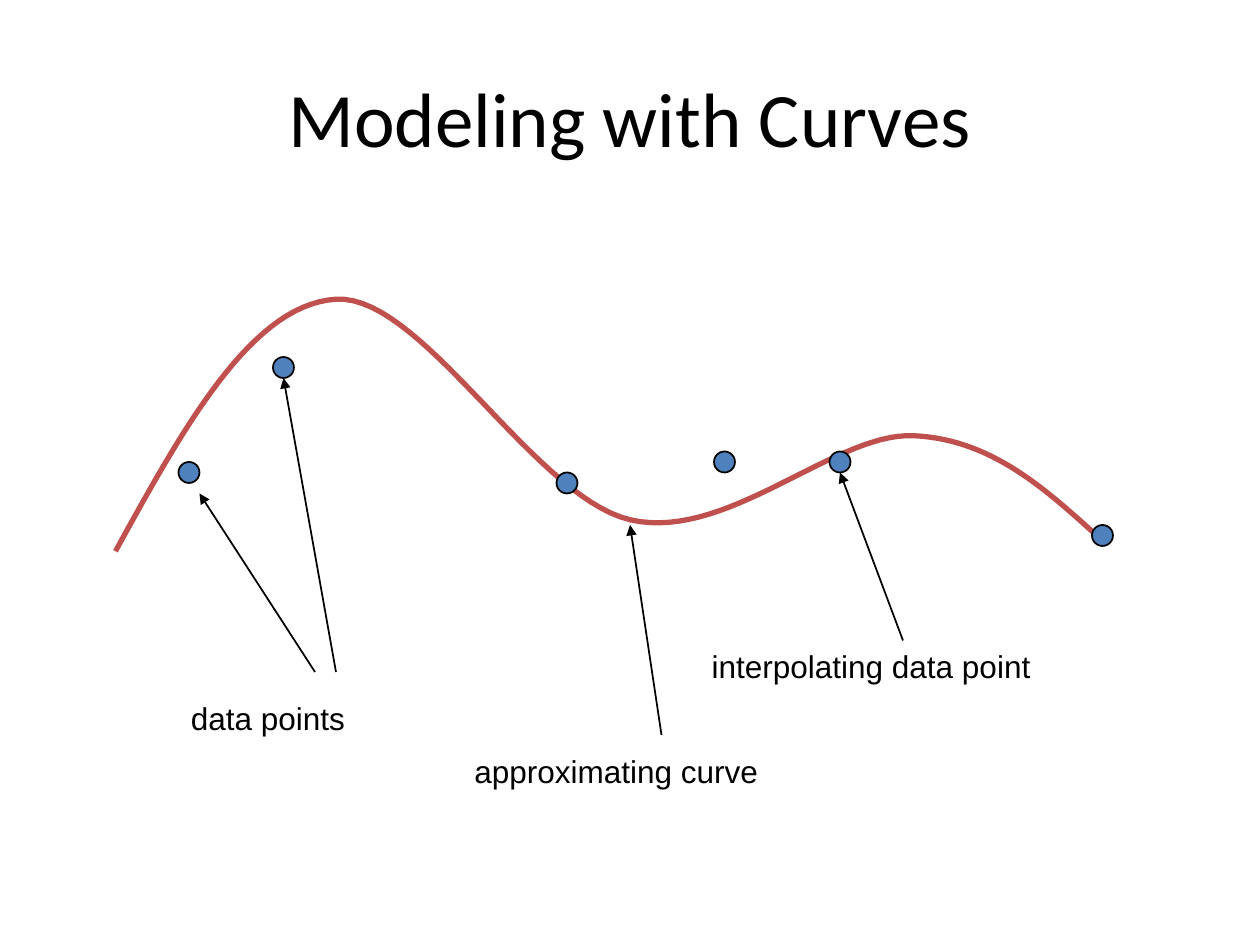
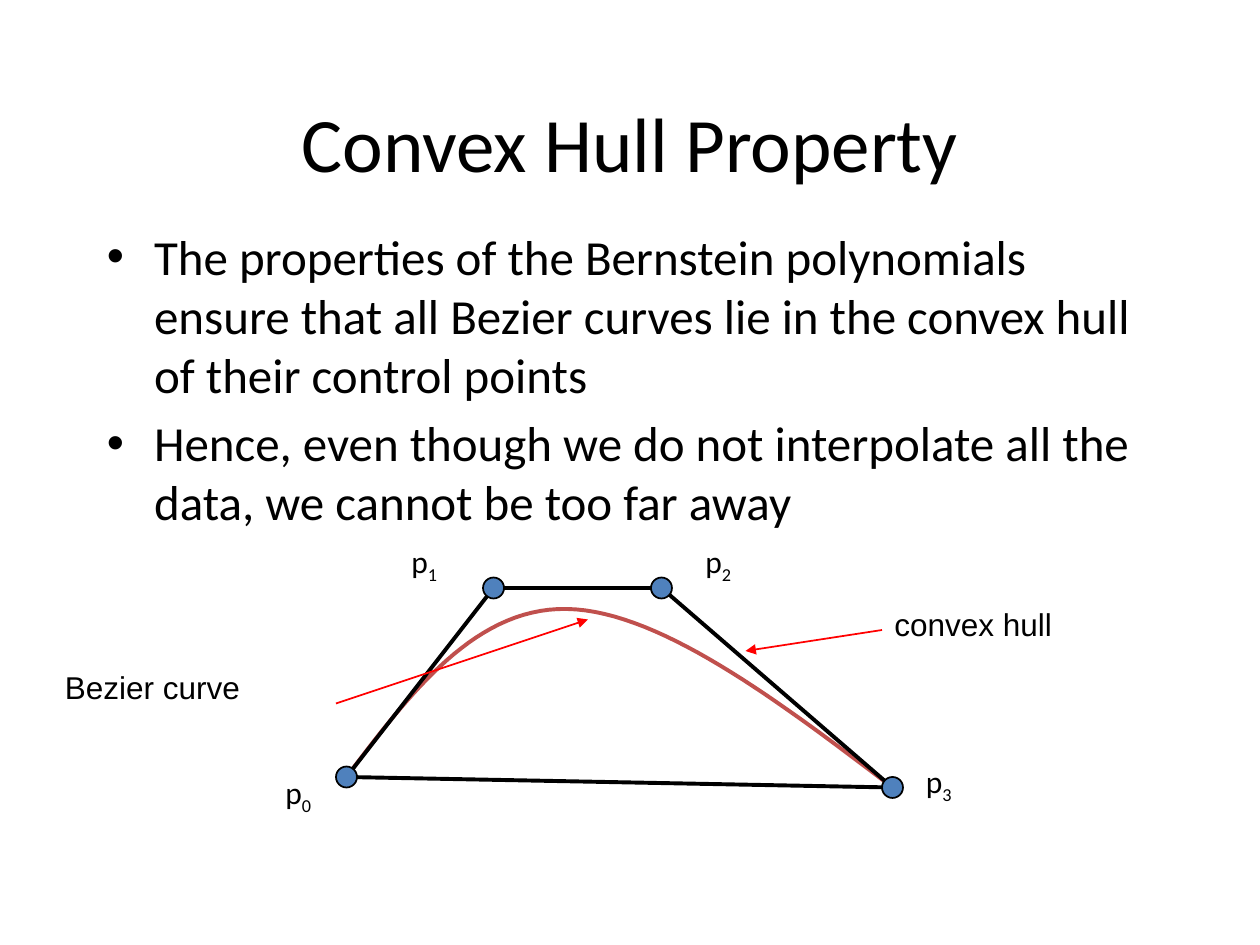
from itertools import combinations

from lxml.etree import SubElement
from pptx import Presentation
from pptx.dml.color import RGBColor
from pptx.enum.shapes import MSO_CONNECTOR as Connector, MSO_SHAPE as Shape
from pptx.enum.text import MSO_ANCHOR as Anchor, PP_ALIGN as Align
from pptx.oxml.ns import qn
from pptx.util import Pt

BLACK = RGBColor(0x00, 0x00, 0x00)
BLUE = RGBColor(0x4F, 0x81, 0xBD)
BRICK = RGBColor(0xC0, 0x50, 0x4D)
RED = RGBColor(0xFF, 0x00, 0x00)

DOT = 12
CURVE_STEPS = 30
LABEL_HEIGHT = 36
TITLE = {"name": "Calibri", "size": Pt(44)}
BODY = {"name": "Calibri", "size": Pt(28)}
LABEL = {"name": "Arial", "size": Pt(18)}
POINT_LABEL = {"name": "Calibri", "size": Pt(18)}


def write(page, place, paragraphs, style, align=Align.LEFT, anchor=Anchor.TOP):
    frame = page.shapes.add_textbox(*map(Pt, place)).text_frame
    frame.word_wrap = True
    frame.vertical_anchor = anchor
    for index, text in enumerate(paragraphs):
        para = frame.paragraphs[0] if index == 0 else frame.add_paragraph()
        para.alignment = align
        span = para.add_run()
        span.text = text
        for name, value in style.items():
            setattr(span.font, name, value)
        span.font.color.rgb = BLACK
    return frame.paragraphs


def connect(page, start, end, color, width, arrow=False):
    line = page.shapes.add_connector(Connector.STRAIGHT, *map(Pt, start + end))
    line.line.color.rgb = color
    line.line.width = Pt(width)
    if arrow:
        SubElement(line.line._get_or_add_ln(), qn("a:tailEnd"), type="triangle")
    SubElement(line._element.spPr, qn("a:effectLst"))


slides = [
    {
        "title": "Modeling with Curves",
        "title_place": (36, 21.6, 648, 90),
        "bullets": [],
        "curve": [(66, 315), (104.5, 245), (143.5, 174), (192, 171),
                  (241, 168), (305, 284), (360, 297),
                  (415, 310), (477, 247), (522, 249),
                  (567, 251), (598, 280), (630, 309)],
        "curve_width": 3,
        "dots": [(108, 270), (162, 210), (324, 276), (414, 264), (630, 306), (480, 264)],
        "hull": False,
        "point_labels": [],
        "labels": [("data points", 102, 396, 132),
                   ("approximating curve", 264, 426, 230),
                   ("interpolating data point", 399.6, 366, 257)],
        "arrow_color": BLACK,
        "arrows": [((180, 384), (114, 282)), ((192, 384), (162, 216)),
                   ((378, 420), (360, 300)), ((516, 366), (480, 270))],
    },
    {
        "title": "Convex Hull Property",
        "title_place": (54, 48, 612, 66),
        "bullets": [
            "The properties of the Bernstein polynomials ensure that all Bezier curves "
            "lie in the convex hull of their control points",
            "Hence, even though we do not interpolate all the data, we cannot be too far away",
        ],
        "curve": [(198, 444), (235, 395), (272, 347), (324, 348),
                  (376, 349), (443, 399), (510, 450)],
        "curve_width": 2.25,
        "dots": [(198, 444), (282, 336), (378, 336), (510, 450)],
        "hull": True,
        "point_labels": [(156, 438), (228, 306), (396, 306), (522, 432)],
        "labels": [("convex hull", 504, 342, 135), ("Bezier curve", 30, 378, 148)],
        "arrow_color": RED,
        "arrows": [((504, 360), (426, 372)), ((192, 402), (336, 354))],
    },
]

deck = Presentation()
deck.slide_width, deck.slide_height = Pt(720), Pt(540)

for content in slides:
    page = deck.slides.add_slide(deck.slide_layouts[6])
    write(page, content["title_place"], [content["title"]], TITLE, Align.CENTER, Anchor.MIDDLE)

    if content["bullets"]:
        for index, para in enumerate(write(page, (54, 126, 612, 354), content["bullets"], BODY)):
            properties = para._p.get_or_add_pPr()
            properties.set("marL", str(Pt(27)))
            properties.set("indent", str(Pt(-27)))
            SubElement(properties, qn("a:buFont"), typeface="Arial")
            SubElement(properties, qn("a:buChar"), char="•")
            if index:
                para.space_before = Pt(5.6)

    knots = content["curve"]
    vertices = []
    for first in range(0, len(knots) - 1, 3):
        for step in range(1, CURVE_STEPS + 1):
            t = step / CURVE_STEPS
            weights = ((1 - t) ** 3, 3 * t * (1 - t) ** 2, 3 * t ** 2 * (1 - t), t ** 3)
            vertices.append(tuple(
                Pt(sum(w * knot[axis] for w, knot in zip(weights, knots[first:first + 4])))
                for axis in (0, 1)))
    builder = page.shapes.build_freeform(*map(Pt, knots[0]))
    builder.add_line_segments(vertices, close=False)
    curve = builder.convert_to_shape()
    curve.shadow.inherit = False
    curve.fill.background()
    curve.line.color.rgb = BRICK
    curve.line.width = Pt(content["curve_width"])

    if content["hull"]:
        corners = content["dots"]
        for start, end in zip(corners, corners[1:] + corners[:1]):
            connect(page, start, end, BLACK, 2.25)

    for x, y in content["dots"]:
        dot = page.shapes.add_shape(
            Shape.OVAL, Pt(x - DOT / 2), Pt(y - DOT / 2), Pt(DOT), Pt(DOT))
        dot.shadow.inherit = False
        dot.fill.solid()
        dot.fill.fore_color.rgb = BLUE
        dot.line.color.rgb = BLACK
        dot.line.width = Pt(1)

    for index, (x, y) in enumerate(content["point_labels"]):
        para = write(page, (x, y, 35, LABEL_HEIGHT), ["p"], POINT_LABEL)[0]
        span = para.add_run()
        span.text = str(index)
        for name, value in POINT_LABEL.items():
            setattr(span.font, name, value)
        span.font.color.rgb = BLACK
        span._r.get_or_add_rPr().set("baseline", "-25000")

    for text, x, y, width in content["labels"]:
        write(page, (x, y, width, LABEL_HEIGHT), [text], LABEL)

    for start, end in content["arrows"]:
        connect(page, start, end, content["arrow_color"], 1, arrow=True)

deck.save("out.pptx")
